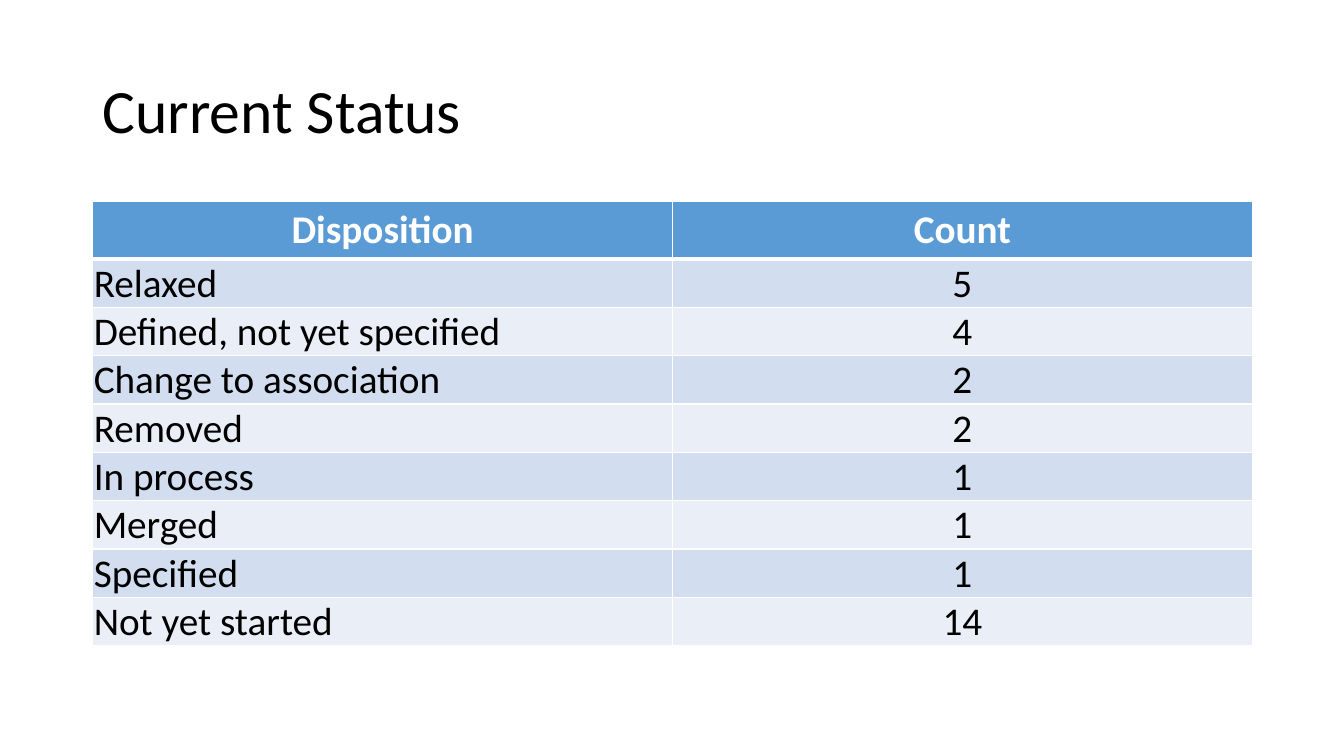
from dataclasses import dataclass

from lxml.etree import SubElement
from pptx import Presentation
from pptx.dml.color import RGBColor
from pptx.enum.text import MSO_ANCHOR as Anchor, PP_ALIGN as Align
from pptx.oxml.ns import qn
from pptx.table import _Cell as Cell
from pptx.text.text import TextFrame
from pptx.util import Inches, Pt

COLORS = {
    "text": "000000",
    "white": "FFFFFF",
    "header": "5B9BD5",
    "dark_band": "D2DEEF",
    "light_band": "EAEFF7",
}
FONT = "Calibri"
LEFT, WIDTH = Inches(0.92), Inches(11.5)
HEADER_HEIGHT, ROW_HEIGHT = Inches(0.56), Inches(0.48)
THIN, THICK = Pt(1), Pt(3)


@dataclass
class Status:
    disposition: str
    count: int


STATUSES = [
    Status("Relaxed", 5),
    Status("Defined, not yet specified", 4),
    Status("Change to association", 2),
    Status("Removed", 2),
    Status("In process", 1),
    Status("Merged", 1),
    Status("Specified", 1),
    Status("Not yet started", 14),
]


def write_text(frame: TextFrame, text: str, *, size: int = 28, color: str = "text",
               bold: bool = False, align: Align = Align.LEFT,
               line_spacing: float = 1.0) -> None:
    paragraph = frame.paragraphs[0]
    paragraph.alignment = align
    paragraph.line_spacing = line_spacing
    run = paragraph.add_run()
    run.text = text
    run.font.name = FONT
    run.font.size = Pt(size)
    run.font.bold = bold
    run.font.color.rgb = RGBColor.from_string(COLORS[color])


def style_cell(cell: Cell, fill: str, *, top: int = THIN, bottom: int = THIN) -> None:
    # Borders come before the fill in the cell properties
    properties = cell._tc.get_or_add_tcPr()
    for side, width in (("L", THIN), ("R", THIN), ("T", top), ("B", bottom)):
        line = SubElement(properties, qn(f"a:ln{side}"), w=str(width))
        solid = SubElement(line, qn("a:solidFill"))
        SubElement(solid, qn("a:srgbClr"), val=COLORS["white"])
    cell.fill.solid()
    cell.fill.fore_color.rgb = RGBColor.from_string(COLORS[fill])


presentation = Presentation()
presentation.slide_width, presentation.slide_height = Inches(13.33), Inches(7.5)
slide = presentation.slides.add_slide(presentation.slide_layouts[6])

# Title
title = slide.shapes.add_textbox(LEFT, Inches(0.4), WIDTH, Inches(1.45)).text_frame
title.word_wrap = True
title.vertical_anchor = Anchor.MIDDLE
write_text(title, "Current Status", size=44, line_spacing=0.9)

# Status table
table_height = HEADER_HEIGHT + ROW_HEIGHT * len(STATUSES)
table = slide.shapes.add_table(len(STATUSES) + 1, 2, LEFT, Inches(2),
                               WIDTH, table_height).table
for row in table.rows:
    row.height = ROW_HEIGHT
table.rows[0].height = HEADER_HEIGHT

# Header row
for column, heading in enumerate(("Disposition", "Count")):
    cell = table.cell(0, column)
    style_cell(cell, "header", bottom=THICK)
    write_text(cell.text_frame, heading, color="white", bold=True, align=Align.CENTER)

# Banded body rows
for number, status in enumerate(STATUSES, start=1):
    band = "dark_band" if number % 2 else "light_band"
    values = ((status.disposition, Align.LEFT), (str(status.count), Align.CENTER))
    for column, (text, align) in enumerate(values):
        cell = table.cell(number, column)
        style_cell(cell, band, top=THICK if number == 1 else THIN)
        cell.vertical_anchor = Anchor.BOTTOM
        cell.margin_left = cell.margin_right = cell.margin_top = Inches(0.01)
        cell.margin_bottom = 0
        write_text(cell.text_frame, text, align=align)

presentation.save("out.pptx")
